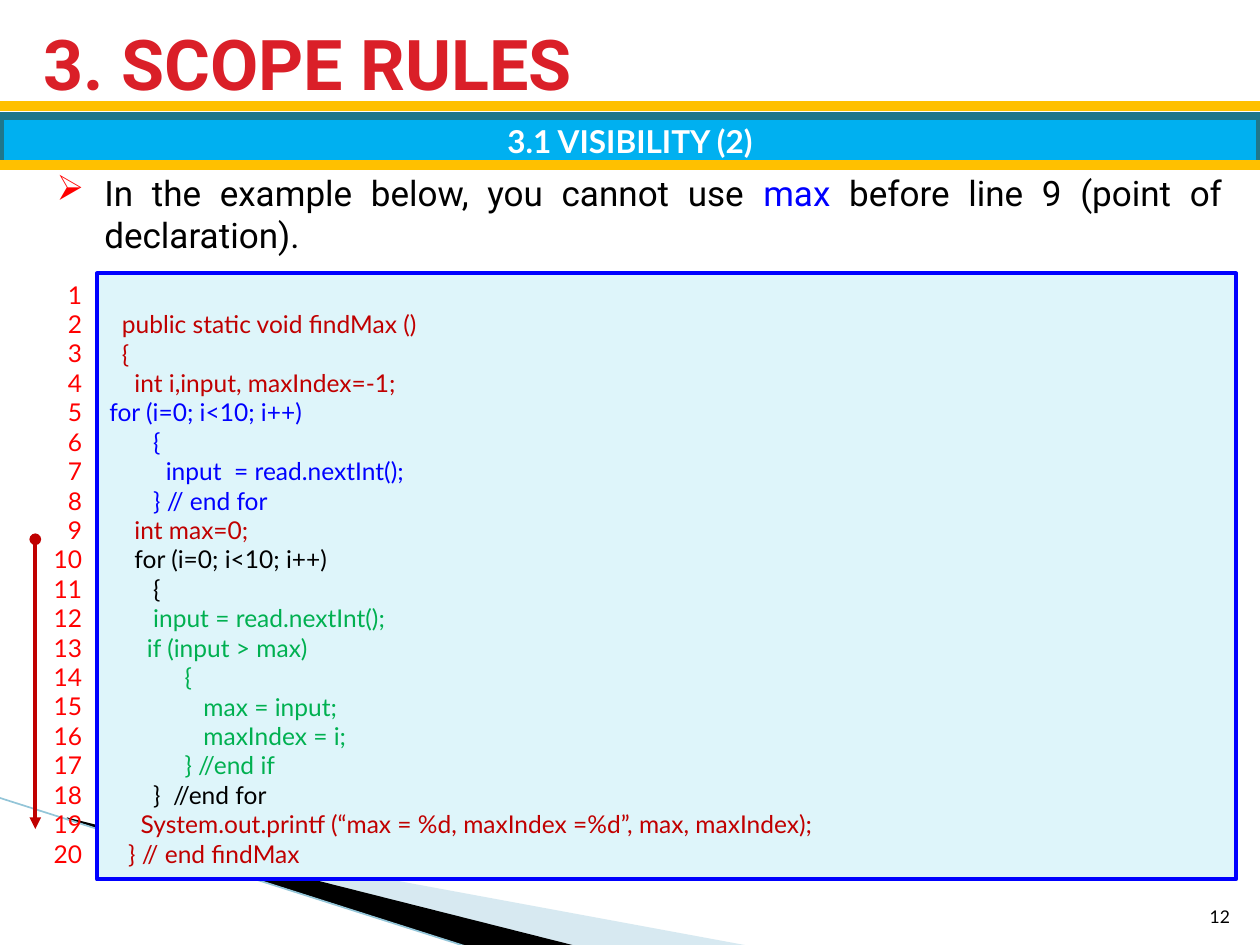
from lxml import etree
from pptx import Presentation
from pptx import util as u
from pptx.dml.color import RGBColor
from pptx.enum import shapes, text
from pptx.oxml.ns import qn


class Theme:
    head, body = "Roboto", "Lato"
    title, lead, bar, code, small = 40, 20, 18, 14, 10
    red, gold, teal, sky = "DA1F28", "FFC000", "20768B", "00B0F0"
    blue, mark, wine, green = "0000FF", "FF0000", "C00000", "00B050"
    black, white, pale = "000000", "FFFFFF", "DEF5FA"
    mist, edge = "9CCADC", "93C5D8"


TITLE = "3. SCOPE RULES"
TOPIC = "3.1 VISIBILITY (2)"
LEAD = [
    ("In the example below, you cannot use ", Theme.black),
    ("max ", Theme.blue),
    ("before line 9 (point of declaration).", Theme.black),
]
PAGE = "12"
# Line 1 of the listing is empty; these are lines 2 to 20, by colour.
CODE = [
    (Theme.wine, ["  public static void findMax ()",
                  "  {",
                  "    int i,input, maxIndex=-1;"]),
    (Theme.blue, ["for (i=0; i<10; i++)",
                  "       {",
                  "         input  = read.nextInt();",
                  "       } // end for"]),
    (Theme.wine, ["    int max=0;"]),
    (Theme.black, ["    for (i=0; i<10; i++)",
                   "       {"]),
    (Theme.green, ["       input = read.nextInt();",
                   "      if (input > max)",
                   "            {",
                   "               max = input;",
                   "               maxIndex = i;",
                   "            } //end if"]),
    (Theme.black, ["       }  //end for"]),
    (Theme.wine, ["     System.out.printf (“max = %d, maxIndex =%d”, max, maxIndex);",
                  "   } // end findMax"]),
]
LINES = [[(line, tone)] for tone, part in CODE for line in part]
NUMS = [[(str(n), Theme.mark)] for n in range(1, len(LINES) + 2)]

# Places are percent of the slide's width and height.
TOP, MID = 11.2, 17.47
ROWS = (28.93, 64.13)
WEDGES = [
    ([(5.5, 86.8), (59.5, 100.1), (45.6, 100.1), (5.5, 86.67)], Theme.mist, 40),
    ([(5.3, 86.5), (45.7, 100.1), (37.2, 100.2), (5.4, 86.67)], Theme.black, 100),
]

deck = Presentation()
deck.slide_width, deck.slide_height = u.Inches(10), u.Inches(7.5)
slide = deck.slides.add_slide(deck.slide_layouts[6])
items = slide.shapes


def across(share):
    return round(deck.slide_width * share / 100)


def down(share):
    return round(deck.slide_height * share / 100)


def place(x, y, w, h):
    return across(x), down(y), across(w), down(h)


def tint(name):
    return RGBColor.from_string(name)


def paint(shape, fill, line=None, width=0):
    shape.shadow.inherit = False
    shape.fill.solid()
    shape.fill.fore_color.rgb = tint(fill)
    if line:
        shape.line.color.rgb = tint(line)
        shape.line.width = u.Pt(width)
    else:
        shape.line.fill.background()


def write(shape, paras, size, font=Theme.body, bold=False,
          align=text.PP_ALIGN.LEFT, anchor=text.MSO_ANCHOR.TOP):
    """Fill a shape with paragraphs, each a list of (words, colour)."""
    frame = shape.text_frame
    frame.word_wrap = True
    frame.vertical_anchor = anchor
    for i, runs in enumerate(paras):
        para = frame.add_paragraph() if i else frame.paragraphs[0]
        para.alignment = align
        for words, tone in runs:
            run = para.add_run()
            run.text = words
            run.font.size, run.font.name = u.Pt(size), font
            run.font.bold = bold
            run.font.color.rgb = tint(tone)
    return frame


def label(spot, paras, size, **form):
    return write(items.add_textbox(*place(*spot)), paras, size, **form)


def rule(x1, y1, x2, y2, tone, width, ends=()):
    line = items.add_connector(shapes.MSO_CONNECTOR.STRAIGHT,
                               across(x1), down(y1), across(x2), down(y2))
    line.line.color.rgb = tint(tone)
    line.line.width = u.Pt(width)
    for tag, kind in ends:
        etree.SubElement(line.line._get_or_add_ln(), qn(tag), type=kind)
    etree.SubElement(line._element.spPr, qn("a:effectLst"))


def wedge(points, tone, alpha):
    spots = [(across(x), down(y)) for x, y in points]
    form = items.build_freeform(*spots[0])
    form.add_line_segments(spots[1:])
    shape = form.convert_to_shape()
    paint(shape, tone)
    color = shape._element.spPr.find(qn("a:solidFill"))[0]
    etree.SubElement(color, qn("a:alpha"), val=str(alpha * 1000))


def bullet(para, sign, tone, indent):
    props = para._p.get_or_add_pPr()
    props.set("marL", str(indent))
    props.set("indent", str(-indent))
    color = etree.SubElement(props, qn("a:buClr"))
    etree.SubElement(color, qn("a:srgbClr"), val=tone)
    etree.SubElement(props, qn("a:buChar"), char=sign)


for part in WEDGES:
    wedge(*part)
rule(-0.1, 84.4, 37.1, 100.2, Theme.edge, 0.95)

rule(0, TOP, 100, TOP, Theme.gold, 6)
label((2.5, 2.27, 94.7, 8.67), [[(TITLE, Theme.red)]], Theme.title,
      font=Theme.head, bold=True, anchor=text.MSO_ANCHOR.MIDDLE)
label((94.6, 93.47, 4, 5.33), [[(PAGE, Theme.black)]], Theme.small,
      align=text.PP_ALIGN.RIGHT, anchor=text.MSO_ANCHOR.BOTTOM)
lead = label((3.5, MID, 94.5, 10.27), [LEAD], Theme.lead,
             font=Theme.head, align=text.PP_ALIGN.JUSTIFY)
bullet(lead.paragraphs[0], "➢", Theme.mark, across(3.8))

bar = items.add_shape(shapes.MSO_SHAPE.RECTANGLE, *place(0, 12.27, 100, 5.2))
paint(bar, Theme.sky, Theme.teal, 4.33)
write(bar, [[(TOPIC, Theme.white)]], Theme.bar, bold=True,
      align=text.PP_ALIGN.CENTER, anchor=text.MSO_ANCHOR.MIDDLE)
rule(0, MID, 100, MID, Theme.gold, 6)

panel = items.add_shape(shapes.MSO_SHAPE.RECTANGLE,
                        *place(7.7, ROWS[0], 90.4, ROWS[1]))
paint(panel, Theme.pale, Theme.blue, 2.25)
code = write(panel, LINES, Theme.code)
code.margin_top += u.Pt(Theme.code * 1.2)  # room for the empty line 1
label((2, ROWS[0], 5.5, ROWS[1]), NUMS, Theme.code,
      align=text.PP_ALIGN.RIGHT)
rule(2.8, 57.07, 2.8, 87.73, Theme.wine, 2.25,
     ends=[("a:headEnd", "oval"), ("a:tailEnd", "triangle")])

deck.save("out.pptx")
